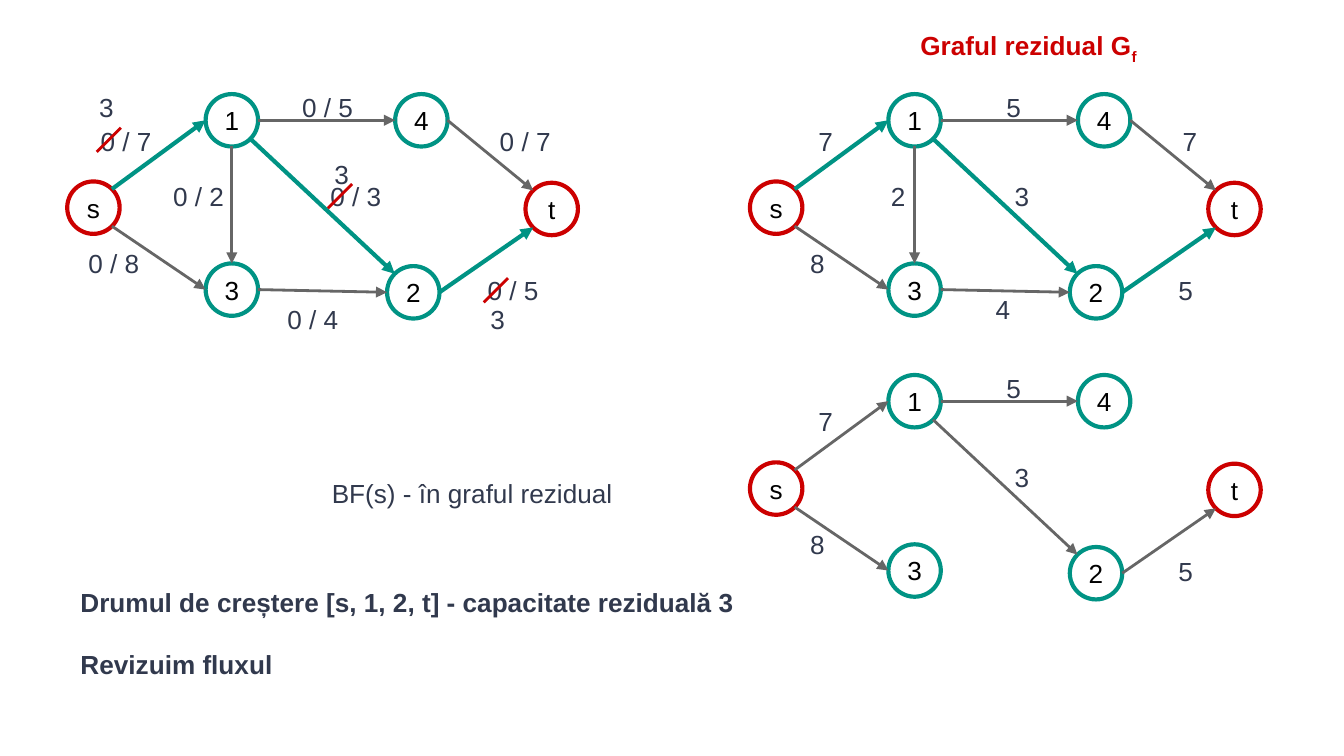
from dataclasses import dataclass
from math import sqrt

from lxml.etree import SubElement
from pptx import Presentation
from pptx.dml.color import RGBColor
from pptx.enum.shapes import MSO_CONNECTOR as Connector, MSO_SHAPE as Shape
from pptx.enum.text import MSO_ANCHOR as Anchor, MSO_AUTO_SIZE as AutoSize, PP_ALIGN as Align
from pptx.oxml.ns import qn
from pptx.util import Inches, Pt


@dataclass(frozen=True)
class Theme:
    font: str = "Arial"
    size: float = 14
    thin: float = 1.5
    thick: float = 2.25
    paragraph_gap: float = 16.5
    ink: str = "31394D"
    black: str = "000000"
    white: str = "FFFFFF"
    red: str = "CC0000"
    teal: str = "009384"
    gray: str = "666666"


DIAMETER = 0.39
DIAGONAL = 1 / sqrt(2)
SITES = {
    "top": (0, -1), "bottom": (0, 1), "left": (-1, 0), "right": (1, 0),
    "nw": (-DIAGONAL, -DIAGONAL), "ne": (DIAGONAL, -DIAGONAL),
    "sw": (-DIAGONAL, DIAGONAL), "se": (DIAGONAL, DIAGONAL),
}
# Left and top of each node in the first graph
NODES = {
    "s": (0.5, 1.35), "2": (2.88, 1.98), "3": (1.53, 1.96),
    "4": (2.94, 0.7), "1": (1.53, 0.7), "t": (3.91, 1.36),
}
# Where each edge leaves its first node and enters its second
EDGES = {
    "s1": ("ne", "left"), "14": ("right", "left"), "4t": ("right", "nw"),
    "s3": ("se", "left"), "32": ("right", "left"), "2t": ("right", "sw"),
    "12": ("se", "nw"), "13": ("bottom", "top"),
}
AUGMENTING_PATH = ("s1", "12", "2t")

# Edge: label, left, top, width (relative to the graph)
FLOW = {
    "s1": ("0 / 7", 0.65, 0.83, 0.63), "14": ("0 / 5", 2.15, 0.58, 0.69),
    "4t": ("0 / 7", 3.62, 0.83, 0.63), "s3": ("0 / 8", 0.56, 1.74, 0.63),
    "32": ("0 / 4", 2.04, 2.16, 0.63), "2t": ("0 / 5", 3.53, 1.94, 0.59),
    "12": ("0 / 3", 2.36, 1.24, 0.59), "13": ("0 / 2", 1.19, 1.24, 0.63),
}
RESIDUAL = {
    "s1": ("7", 0.91, 0.83, 0.32), "14": ("5", 2.31, 0.58, 0.53),
    "4t": ("7", 3.62, 0.83, 0.39), "s3": ("8", 0.85, 1.74, 0.34),
    "32": ("4", 2.23, 2.08, 0.34), "2t": ("5", 3.59, 1.94, 0.34),
    "12": ("3", 2.37, 1.24, 0.32), "13": ("2", 1.45, 1.24, 0.32),
}
BFS_TREE = {edge: RESIDUAL[edge] for edge in ("s1", "14", "s3", "2t", "12")}

# Strike's lower left end, then the new flow's left and top
REVISED_FLOWS = [
    ((0.72, 1.13), (0.64, 0.58)),
    ((2.44, 1.55), (2.39, 1.08)),
    ((3.6, 2.25), (3.55, 2.16)),
]


class GraphSlide:
    def __init__(self, slide, theme):
        self.slide = slide
        self.theme = theme

    def style(self, font, color, **formats):
        values = {"name": self.theme.font, "size": Pt(self.theme.size), **formats}
        for name, value in values.items():
            setattr(font, name, value)
        font.color.rgb = RGBColor.from_string(color)

    def frame(self, frame, margin, **formats):
        sides = ("left", "top", "right", "bottom")
        values = {f"margin_{side}": Inches(margin) for side in sides}
        for name, value in {**values, "word_wrap": True, **formats}.items():
            setattr(frame, name, value)

    def text(self, lines, left, top, width, height=0.44, color=None, bold=False):
        box = self.slide.shapes.add_textbox(*map(Inches, (left, top, width, height)))
        frame = box.text_frame
        self.frame(frame, 0.1, auto_size=AutoSize.SHAPE_TO_FIT_TEXT)
        frame.text = "\n".join(lines)
        for index, paragraph in enumerate(frame.paragraphs):
            if index:
                paragraph.space_before = Pt(self.theme.paragraph_gap)
            for run in paragraph.runs:
                self.style(run.font, color or self.theme.ink, bold=bold)
        return frame

    def subscript(self, frame, text, color):
        run = frame.paragraphs[0].add_run()
        run.text = text
        self.style(run.font, color, bold=True)
        run._r.get_or_add_rPr().set("baseline", "-25000")

    def node(self, name, left, top):
        circle = self.slide.shapes.add_shape(
            Shape.OVAL, *map(Inches, (left, top, DIAMETER, DIAMETER)))
        circle.shadow.inherit = False
        circle.fill.solid()
        circle.fill.fore_color.rgb = RGBColor.from_string(self.theme.white)
        outline = self.theme.red if name in "st" else self.theme.teal
        circle.line.color.rgb = RGBColor.from_string(outline)
        circle.line.width = Pt(self.theme.thick)
        self.frame(circle.text_frame, 0.02, vertical_anchor=Anchor.MIDDLE)
        paragraph = circle.text_frame.paragraphs[0]
        paragraph.alignment = Align.CENTER
        run = paragraph.add_run()
        run.text = name
        self.style(run.font, self.theme.black)

    def line(self, start, end, color, width, arrow=False):
        connector = self.slide.shapes.add_connector(
            Connector.STRAIGHT, *map(Inches, (*start, *end)))
        connector.line.color.rgb = RGBColor.from_string(color)
        connector.line.width = Pt(width)
        if arrow:
            SubElement(connector.line._get_or_add_ln(), qn("a:tailEnd"), type="triangle")
        SubElement(connector._element.spPr, qn("a:effectLst"))

    def graph(self, labels, dx=0, dy=0, highlighted=()):
        """Draw all nodes, and the edges that have a label, shifted by dx and dy."""
        def site(name, side):
            return [origin + shift + DIAMETER / 2 * (1 + direction) for origin, shift, direction
                    in zip(NODES[name], (dx, dy), SITES[side])]

        for name, (left, top) in NODES.items():
            self.node(name, left + dx, top + dy)
        for edge, (label, left, top, width) in labels.items():
            start, end = map(site, edge, EDGES[edge])
            stroke = ((self.theme.teal, self.theme.thick) if edge in highlighted
                      else (self.theme.gray, self.theme.thin))
            self.line(start, end, *stroke, arrow=True)
            self.text([label], left + dx, top + dy, width)


def main():
    deck = Presentation()
    deck.slide_width = Inches(10)
    deck.slide_height = deck.slide_width * 9 // 16
    theme = Theme()
    page = GraphSlide(deck.slides.add_slide(deck.slide_layouts[6]), theme)

    page.graph(FLOW, highlighted=AUGMENTING_PATH)
    page.graph(RESIDUAL, dx=5.08, highlighted=AUGMENTING_PATH)
    page.graph(BFS_TREE, dx=5.08, dy=2.09)

    title = page.text(["Graful rezidual G"], 6.75, 0.12, 1.96, color=theme.red, bold=True)
    page.subscript(title, "f", theme.red)
    page.text(["BF(s) - în graful rezidual"], 2.37, 3.45, 2.71)
    page.text(["Drumul de creștere [s, 1, 2, t] - capacitate reziduală 3", "Revizuim fluxul"],
              0.5, 4.26, 5.15, 0.91, bold=True)

    for (x, y), (left, top) in REVISED_FLOWS:
        page.line((x, y), (x + 0.18, y - 0.18), theme.red, theme.thin)
        page.text(["3"], left, top, 0.34)

    deck.save("out.pptx")


if __name__ == "__main__":
    main()
